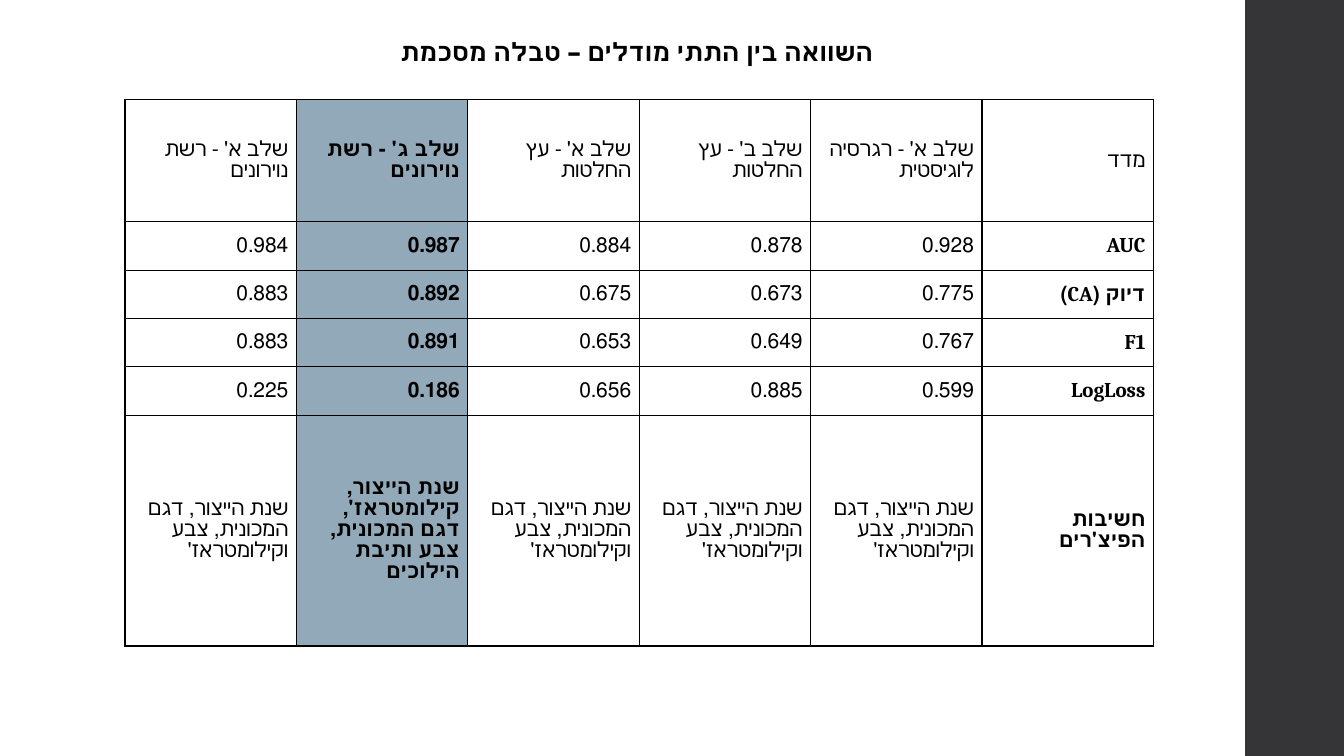
from lxml.etree import SubElement
from pptx import Presentation
from pptx.dml.color import RGBColor
from pptx.enum.shapes import MSO_SHAPE
from pptx.enum.text import MSO_ANCHOR, PP_ALIGN
from pptx.oxml.ns import qn
from pptx.util import Inches, Pt

HUES = {"ink": "000000", "page": "FFFFFF", "band": "353537", "best": "92A9B9"}
WIDE, HIGH = Inches(13.33), Inches(7.5)
COLS = [1.7] * 6
ROWS = [1.21] + [0.48] * 4 + [2.29]
BEST, NAME = 1, 5  # highlighted column and column of measure names
CAUSE = "שנת הייצור, דגם המכונית, צבע וקילומטראז'"
DATA = [
    ["שלב א' - רשת נוירונים", "שלב ג' - רשת נוירונים", "שלב א' - עץ החלטות",
     "שלב ב' - עץ החלטות", "שלב א' - רגרסיה לוגיסטית", "מדד"],
    ["0.984", "0.987", "0.884", "0.878", "0.928", "AUC"],
    ["0.883", "0.892", "0.675", "0.673", "0.775", "דיוק (CA)"],
    ["0.883", "0.891", "0.653", "0.649", "0.767", "F1"],
    ["0.225", "0.186", "0.656", "0.885", "0.599", "LogLoss"],
    [CAUSE, "שנת הייצור, קילומטראז', דגם המכונית, צבע ותיבת הילוכים",
     CAUSE, CAUSE, CAUSE, "חשיבות הפיצ'רים"],
]
CELL = {
    "vertical_anchor": MSO_ANCHOR.MIDDLE,
    "margin_left": Inches(0.08), "margin_right": Inches(0.08),
    "margin_top": Inches(0.04), "margin_bottom": Inches(0.04),
}


def hue(name):
    return RGBColor.from_string(HUES[name])


def apply(item, looks):
    for key, value in looks.items():
        setattr(item, key, value)


def write(frame, text, align, font):
    """Put one right-to-left paragraph in a text frame."""
    para = frame.paragraphs[0]
    apply(para, {"alignment": align, "line_spacing": 1.0})
    para._p.get_or_add_pPr().set("rtl", "1")
    run = para.add_run()
    run.text = text
    apply(run.font, font)
    run.font.color.rgb = hue("ink")


def border(cell):
    props = cell._tc.get_or_add_tcPr()
    for side in ("a:lnL", "a:lnR", "a:lnT", "a:lnB"):
        line = SubElement(props, qn(side), w=str(Pt(1)))
        fill = SubElement(line, qn("a:solidFill"))
        SubElement(fill, qn("a:srgbClr"), val=HUES["ink"])


def add_band(slide):
    left = Inches(12.35)
    band = slide.shapes.add_shape(MSO_SHAPE.RECTANGLE, left, 0, WIDE - left, HIGH)
    band.shadow.inherit = False
    band.fill.solid()
    band.fill.fore_color.rgb = hue("band")
    band.line.fill.background()


def add_title(slide, text):
    title = slide.shapes.title
    apply(title, {"left": Inches(1.69), "top": Inches(0.31),
                  "width": Inches(9.25), "height": Inches(0.4)})
    apply(title.text_frame, {"word_wrap": True, "vertical_anchor": MSO_ANCHOR.TOP})
    write(title.text_frame, text, PP_ALIGN.CENTER,
          {"name": "Cabin", "size": Pt(18), "bold": True})


def add_grid(slide):
    grid = slide.shapes.add_table(
        len(ROWS), len(COLS), Inches(1.24), Inches(0.99),
        Inches(sum(COLS)), Inches(sum(ROWS))).table
    apply(grid, {"first_row": False, "horz_banding": False})
    for col, size in zip(grid.columns, COLS):
        col.width = Inches(size)
    for row, size in zip(grid.rows, ROWS):
        row.height = Inches(size)
    for r, line in enumerate(DATA):
        for c, text in enumerate(line):
            cell = grid.cell(r, c)
            apply(cell, CELL)
            border(cell)
            cell.fill.solid()
            cell.fill.fore_color.rgb = hue("best" if c == BEST else "page")
            bold = c == BEST or (c == NAME and r > 0)
            write(cell.text_frame, text, PP_ALIGN.RIGHT,
                  {"name": "Cambria", "size": Pt(15), "bold": bold})


def main():
    deck = Presentation()
    apply(deck, {"slide_width": WIDE, "slide_height": HIGH})
    slide = deck.slides.add_slide(deck.slide_layouts[5])
    add_band(slide)
    add_grid(slide)
    add_title(slide, "השוואה בין התתי מודלים – טבלה מסכמת")
    deck.save("out.pptx")


if __name__ == "__main__":
    main()
